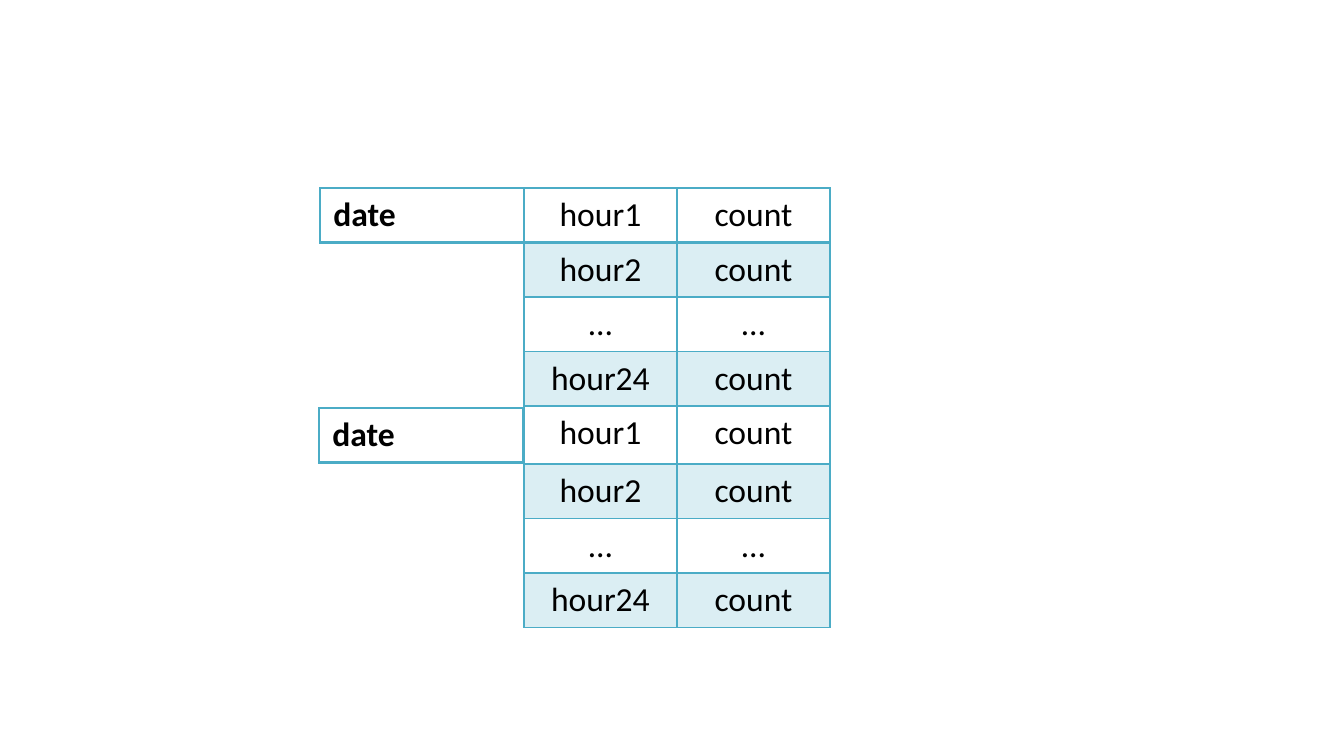
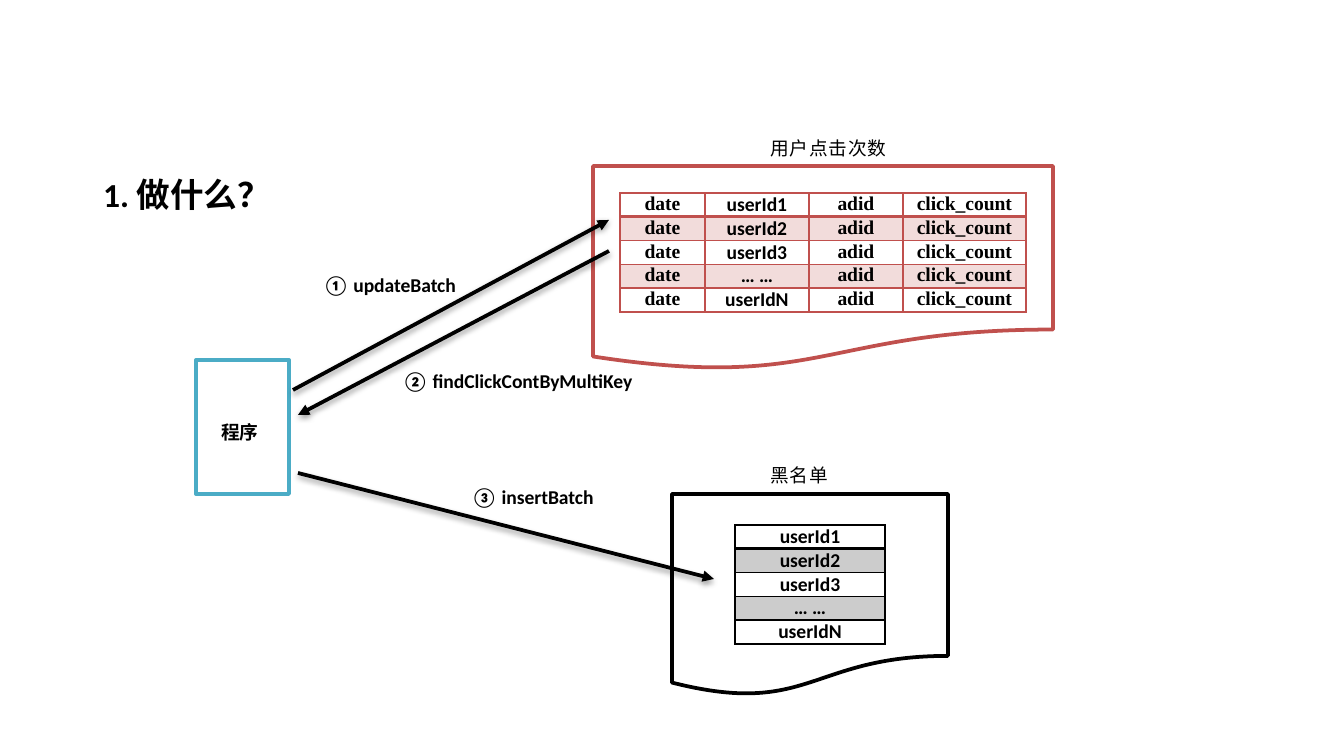
"""Build two slides: hourly count tables and the click blacklist flow."""
from lxml import etree
from pptx import Presentation
from pptx.dml.color import RGBColor
from pptx.enum.shapes import MSO_CONNECTOR, MSO_SHAPE as SHAPE
from pptx.enum.text import PP_ALIGN as AL
from pptx.oxml.ns import qn
from pptx.util import Pt

SCALE = 914400 / 134.4
COLORS = {"white": "FFFFFF", "black": "000000", "teal": "4BACC6", "red": "C0504D"}
SANS, SERIF = "Calibri", "Times New Roman"

HOURS = [("hour1", "count"), ("hour2", "count"), ("…", "…"), ("hour24", "count")] * 2
HOUR_HEIGHTS = [54, 54, 54, 54, 58, 54, 54, 54]
DATES = [(320, 188), (319, 408)]

USERS = ["userId1", "userId2", "userId3", "… …", "userIdN"]
CLICKS = [("date", user, "adid", "click_count") for user in USERS]
BLACKLIST = [(user,) for user in USERS]

SHAPES = [
    (SHAPE.FLOWCHART_DOCUMENT, (672, 494, 276, 202), "black"),
    (SHAPE.FLOWCHART_PROCESS, (196, 360, 93, 134), "teal"),
    (SHAPE.FLOWCHART_DOCUMENT, (593, 166, 460, 204), "red"),
]
CAPTIONS = [
    ("黑名单", (757, 442, 106, 47)),
    ("用户点击次数", (757, 115, 153, 51)),
]
LABELS = [
    ("1. 做什么？", (90, 167, 200, 54), 18, AL.LEFT),
    ("程序", (208, 414, 79, 36), 10, AL.LEFT),
    ("① updateBatch", (309, 266, 161, 38), 10.5, AL.CENTER),
    ("② findClickContByMultiKey", (382, 362, 271, 38), 10.5, AL.CENTER),
    ("③ insertBatch", (458, 478, 149, 38), 10.5, AL.CENTER),
]
ARROWS = [(298, 473, 714, 579), (293, 390, 609, 220), (609, 251, 298, 415)]


def px(*values):
    return [round(v * SCALE) for v in values]


def rgb(name):
    return RGBColor.from_string(COLORS[name])


def sub(parent, tag, **attrs):
    return etree.SubElement(parent, qn(tag), {k: str(v) for k, v in attrs.items()})


def add_run(p, text, size, font=SANS, bold=False, align=AL.LEFT):
    p.alignment = align
    r = p.add_run()
    r.text = text
    r.font.size, r.font.name, r.font.bold = Pt(size), font, bold
    r.font.color.rgb = rgb("black")
    return r


def add_borders(cell, color, row):
    tcPr = cell._tc.get_or_add_tcPr()
    widths = {"L": 1, "R": 1, "T": 2 if row == 1 else 1, "B": 2 if row == 0 else 1}
    for i, (side, width) in enumerate(widths.items()):
        ln = sub(tcPr, f"a:ln{side}", w=Pt(width))
        sub(sub(ln, "a:solidFill"), "a:srgbClr", val=COLORS[color])
        tcPr.insert(i, ln)


def add_grid(slide, at, rows, widths, heights, color, size, fonts,
             bold=False, align=AL.CENTER, tight=False):
    frame = slide.shapes.add_table(len(rows), len(widths),
                                   *px(*at, sum(widths), sum(heights)))
    table = frame.table
    table.first_row = table.horz_banding = False
    for col, width in zip(table.columns, px(*widths)):
        col.width = width
    for i, (values, height) in enumerate(zip(rows, px(*heights))):
        table.rows[i].height = height
        for j, (text, font) in enumerate(zip(values, fonts)):
            cell = table.cell(i, j)
            if tight:
                cell.margin_left, cell.margin_right = px(9, 9)
                cell.margin_top = cell.margin_bottom = 0
            if i % 2:
                cell.fill.solid()
                cell.fill.fore_color.rgb = rgb(color)
                tint = cell._tc.tcPr.find(".//" + qn("a:srgbClr"))
                sub(tint, "a:alpha", val=20000)
            else:
                cell.fill.background()
            add_borders(cell, color, i)
            add_run(cell.text_frame.paragraphs[0], text, size, font, bold, align)


def add_text(slide, text, at, size, font=SANS, bold=True, align=AL.LEFT):
    tf = slide.shapes.add_textbox(*px(*at)).text_frame
    tf.word_wrap = True
    p = tf.paragraphs[0]
    return p, add_run(p, text, size, font, bold, align)


def add_caption(slide, text, at):
    p, r = add_text(slide, text, at, 10, SERIF, False, AL.JUSTIFY)
    p.line_spacing, p.space_after = Pt(20), Pt(1)
    r._r.get_or_add_rPr().set("spc", "50")


def add_box(slide, kind, at, color):
    sp = slide.shapes.add_shape(kind, *px(*at))
    sp.shadow.inherit = False
    sp.fill.solid()
    sp.fill.fore_color.rgb = rgb("white")
    sp.line.color.rgb, sp.line.width = rgb(color), Pt(2)


def add_arrow(slide, ends):
    cxn = slide.shapes.add_connector(MSO_CONNECTOR.STRAIGHT, *px(*ends))
    cxn.line.color.rgb, cxn.line.width = rgb("black"), Pt(2)
    sub(cxn.line._get_or_add_ln(), "a:tailEnd", type="triangle")
    shadow = sub(sub(cxn._element.spPr, "a:effectLst"), "a:outerShdw",
                 blurRad=40000, dist=20000, dir=5400000, rotWithShape=0)
    sub(sub(shadow, "a:srgbClr", val=COLORS["black"]), "a:alpha", val=38000)


def build_hours(slide):
    add_grid(slide, (524, 188), HOURS, [153, 153], HOUR_HEIGHTS, "teal", 18, [SANS] * 2)
    for at in DATES:
        add_grid(slide, at, [("date",)], [204], [54], "teal", 18, [SANS], True, AL.LEFT)


def build_flow(slide):
    for kind, at, color in SHAPES:
        add_box(slide, kind, at, color)
    heights = [23] * len(USERS)
    add_grid(slide, (735, 525), BLACKLIST, [150], heights, "black", 10.5,
             [SANS], True, tight=True)
    add_grid(slide, (620, 193), CLICKS, [85, 104, 94, 123], heights, "red", 10.5,
             [SERIF, SANS, SERIF, SERIF], True, tight=True)
    for ends in ARROWS:
        add_arrow(slide, ends)
    for text, at in CAPTIONS:
        add_caption(slide, text, at)
    for text, at, size, align in LABELS:
        add_text(slide, text, at, size, align=align)


def main():
    prs = Presentation()
    prs.slide_width, prs.slide_height = px(1344, 756)
    for build in (build_hours, build_flow):
        build(prs.slides.add_slide(prs.slide_layouts[6]))
    prs.save("out.pptx")


if __name__ == "__main__":
    main()
